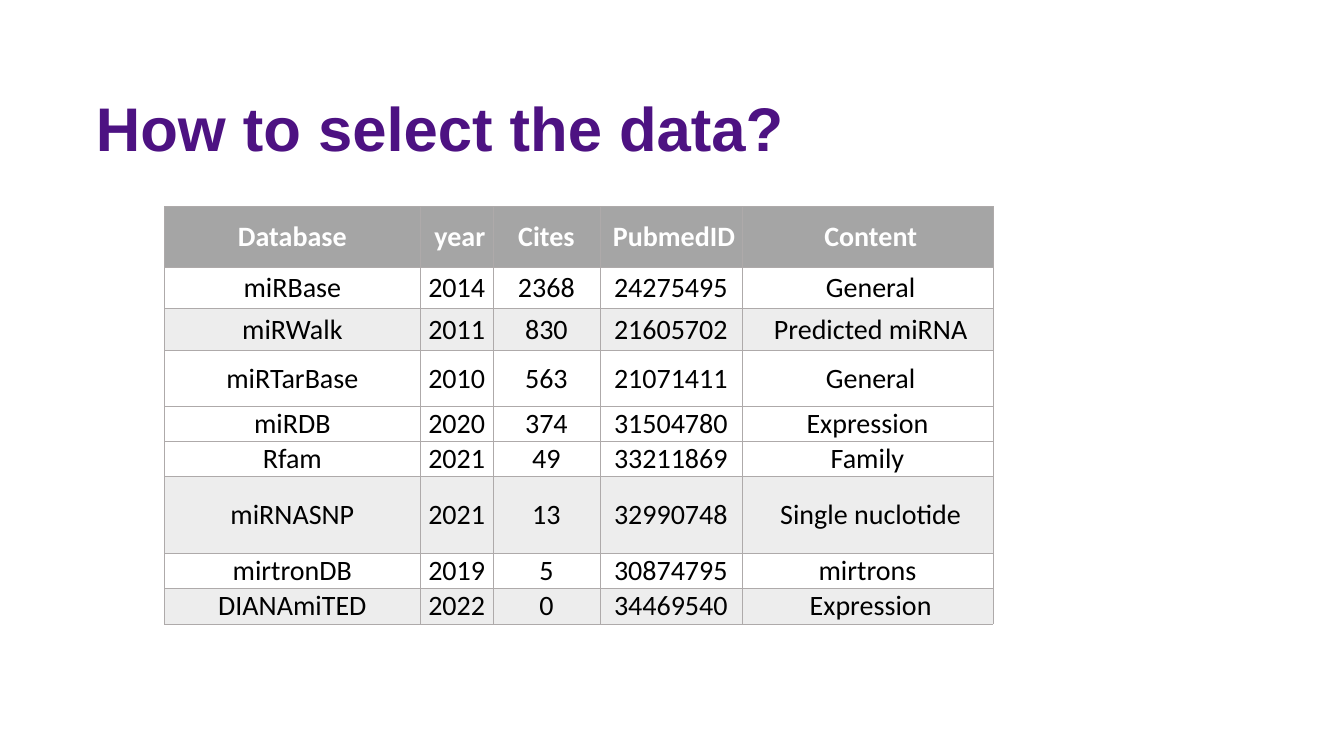
import pptx
import pptx.util
import pptx.dml.color
import pptx.enum.text
import pptx.oxml
import pptx.oxml.ns
import lxml.etree

Inches = pptx.util.Inches

# Content
TITLE = "How to select the data?"
ROWS = [
    ("Database", " year", "Cites", " PubmedID", " Content"),
    ("miRBase", "2014", "2368", "24275495", " General"),
    ("miRWalk", "2011", "830", "21605702", " Predicted miRNA"),
    ("miRTarBase", "2010", "563", "21071411", " General"),
    ("miRDB", "2020", "374", "31504780", " Expression "),
    ("Rfam", "2021", "49", "33211869", "Family"),
    ("miRNASNP", "2021", "13", "32990748", " Single nuclotide"),
    ("mirtronDB", "2019", "5", "30874795", "mirtrons"),
    ("DIANAmiTED", "2022", "0", "34469540", " Expression"),
]
COLUMN_WIDTHS = [2.54, 0.72, 1.06, 1.41, 2.49]
ROW_HEIGHTS = [0.6, 0.41, 0.42, 0.55, 0.35, 0.35, 0.76, 0.35, 0.35]
SHADED_ROWS = {2, 6, 8}
PURPLE, GREY, PALE, BORDER = "4D1282", "A5A5A5", "EDEDED", "AEAAAA"
WHITE, BLACK = "FFFFFF", "000000"


def color(value):
    return pptx.dml.color.RGBColor.from_string(value)


def set_font(font, name, size, value, bold):
    font.name, font.size, font.bold = name, pptx.util.Pt(size), bold
    font.color.rgb = color(value)


def add_borders(cell):
    properties = cell._tc.get_or_add_tcPr()
    qn = pptx.oxml.ns.qn
    for index, side in enumerate(("lnL", "lnR", "lnT", "lnB")):
        line = lxml.etree.Element(qn("a:" + side), w=str(pptx.util.Pt(0.5)))
        fill = lxml.etree.SubElement(line, qn("a:solidFill"))
        lxml.etree.SubElement(fill, qn("a:srgbClr"), val=BORDER)
        properties.insert(index, line)


def add_title(page):
    box = page.shapes.title
    box.left, box.top = Inches(0.85), Inches(0.89)
    box.width, box.height = Inches(10), Inches(0.83)
    frame = box.text_frame
    frame.text = TITLE
    frame.word_wrap = True
    frame.vertical_anchor = pptx.enum.text.MSO_ANCHOR.MIDDLE
    para = frame.paragraphs[0]
    para.alignment = pptx.enum.text.PP_ALIGN.LEFT
    para.line_spacing = 0.9
    set_font(para.font, "Arial", 44, PURPLE, True)


def add_database_table(page):
    table = page.shapes.add_table(
        len(ROWS), len(COLUMN_WIDTHS), Inches(1.63), Inches(2.05),
        Inches(sum(COLUMN_WIDTHS)), Inches(sum(ROW_HEIGHTS))).table
    table.horz_banding = False
    for column, width in zip(table.columns, COLUMN_WIDTHS):
        column.width = Inches(width)
    for row_index, (row, height) in enumerate(zip(table.rows, ROW_HEIGHTS)):
        row.height = Inches(height)
        header = row_index == 0
        fill = GREY if header else PALE if row_index in SHADED_ROWS else WHITE
        for cell, text in zip(row.cells, ROWS[row_index]):
            cell.text = text
            cell.margin_left = cell.margin_right = 0
            cell.margin_top = cell.margin_bottom = 0
            cell.vertical_anchor = pptx.enum.text.MSO_ANCHOR.MIDDLE
            cell.fill.solid()
            cell.fill.fore_color.rgb = color(fill)
            add_borders(cell)
            para = cell.text_frame.paragraphs[0]
            para.alignment = pptx.enum.text.PP_ALIGN.CENTER
            set_font(para.font, "Calibri", 20, WHITE if header else BLACK, header)


def main():
    deck = pptx.Presentation()
    deck.slide_width, deck.slide_height = Inches(13.33), Inches(7.5)
    page = deck.slides.add_slide(deck.slide_layouts[5])
    add_title(page)
    add_database_table(page)
    deck.save("out.pptx")


if __name__ == "__main__":
    main()
